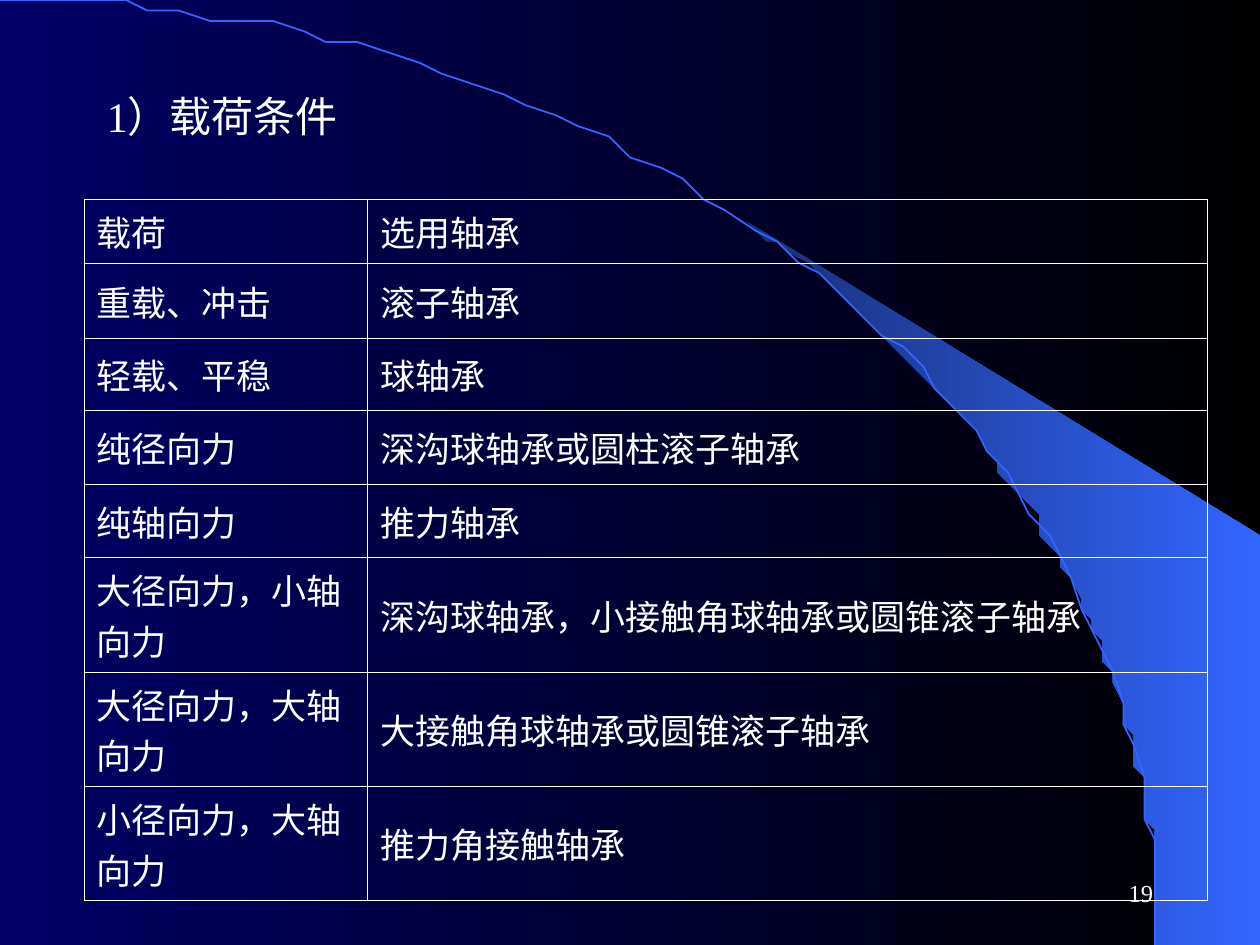
from math import asin, cos, pi, sin

from lxml.etree import SubElement
from pptx import Presentation
from pptx.dml.color import RGBColor
from pptx.enum.text import MSO_ANCHOR, PP_ALIGN
from pptx.oxml.ns import qn
from pptx.util import Inches, Pt

COLORS = {"navy": "000066", "black": "000000", "shade": "182F76", "blue": "3366FF", "white": "FFFFFF"}
FONT = "Times New Roman"
UNIT = Inches(1) // 12
SLIDE = (120, 90)
ARC = (110.4, 89.88)
COLUMNS = (27, 80)
ROWS = (6.1, 7.1, 6.9, 7, 7, 10.9, 10.9, 10.9)
BEARINGS = [
    ("载荷", "选用轴承"),
    ("重载、冲击", "滚子轴承"),
    ("轻载、平稳", "球轴承"),
    ("纯径向力", "深沟球轴承或圆柱滚子轴承"),
    ("纯轴向力", "推力轴承"),
    ("大径向力，小轴向力", "深沟球轴承，小接触角球轴承或圆锥滚子轴承"),
    ("大径向力，大轴向力", "大接触角球轴承或圆锥滚子轴承"),
    ("小径向力，大轴向力", "推力角接触轴承"),
]


def grid(*lengths):
    return [round(length * UNIT) for length in lengths]


def color(name):
    return RGBColor.from_string(COLORS[name])


def fade(fill, start, end):
    fill.gradient()
    fill.gradient_angle = 0
    for stop, name, position in zip(fill.gradient_stops, (start, end), (0, 1)):
        stop.color.rgb = color(name)
        stop.position = position


def write(frame, text, size, anchor, align=PP_ALIGN.LEFT):
    frame.word_wrap = True
    frame.vertical_anchor = anchor
    paragraph = frame.paragraphs[0]
    paragraph.text = text
    paragraph.alignment = align
    font = paragraph.font
    font.name, font.size, font.bold = FONT, Pt(size), False
    font.color.rgb = color("white")
    return paragraph


def arc_points(width, height, start=0, steps=60):
    angles = [start + (pi / 2 - start) * step / steps for step in range(steps + 1)]
    return [(width * sin(angle), height * (1 - cos(angle))) for angle in angles]


def outline(slide, points, close):
    builder = slide.shapes.build_freeform(*points[0], scale=UNIT)
    builder.add_line_segments(points[1:], close=close)
    shape = builder.convert_to_shape()
    shape.shadow.inherit = False
    return shape


def add_backdrop(slide, width, height):
    fade(slide.background.fill, "navy", "black")
    tangent = asin(0.64)
    right = SLIDE[0] - 0.12
    edge = arc_points(width, height, tangent)
    crescent = outline(slide, edge + [(right, height), (right, 50.76)], True)
    fade(crescent.fill, "shade", "blue")
    crescent.line.fill.background()
    arc = outline(slide, arc_points(width, height), False)
    arc.fill.background()
    arc.line.color.rgb = color("blue")
    arc.line.width = Pt(1)


def add_page_number(slide, box):
    frame = slide.shapes.add_textbox(*grid(*box)).text_frame
    write(frame, "19", 14, MSO_ANCHOR.MIDDLE, PP_ALIGN.RIGHT)


def add_heading(slide, box):
    frame = slide.shapes.add_textbox(*grid(*box)).text_frame
    heading = write(frame, "1）载荷条件", 24, MSO_ANCHOR.TOP)
    properties = heading._p.get_or_add_pPr()
    properties.set("marL", str(Inches(0.38)))
    properties.set("indent", str(-Inches(0.38)))


def add_borders(cell):
    properties = cell._tc.get_or_add_tcPr()
    for position, side in enumerate(("lnL", "lnR", "lnT", "lnB")):
        border = properties.makeelement(qn(f"a:{side}"), {"w": str(Pt(0.45))})
        fill = SubElement(border, qn("a:solidFill"))
        SubElement(fill, qn("a:srgbClr"), val=COLORS["white"])
        properties.insert(position, border)


def add_bearing_table(slide, left, top):
    box = grid(left, top, sum(COLUMNS), sum(ROWS))
    table = slide.shapes.add_table(len(ROWS), len(COLUMNS), *box).table
    table.first_row = table.horz_banding = False
    for column, width in zip(table.columns, grid(*COLUMNS)):
        column.width = width
    for row, height, texts in zip(table.rows, grid(*ROWS), BEARINGS):
        row.height = height
        for cell, text in zip(row.cells, texts):
            cell.fill.background()
            cell.vertical_anchor = MSO_ANCHOR.MIDDLE
            write(cell.text_frame, text, 20, None)
            cell.vertical_anchor = MSO_ANCHOR.MIDDLE
            add_borders(cell)


def main():
    deck = Presentation()
    deck.slide_width, deck.slide_height = grid(*SLIDE)
    slide = deck.slides.add_slide(deck.slide_layouts[6])
    add_backdrop(slide, *ARC)
    add_page_number(slide, (86, 82, 25, 6))
    add_heading(slide, (9, 8, 102, 72))
    add_bearing_table(slide, 8, 19)
    deck.save("out.pptx")


if __name__ == "__main__":
    main()
